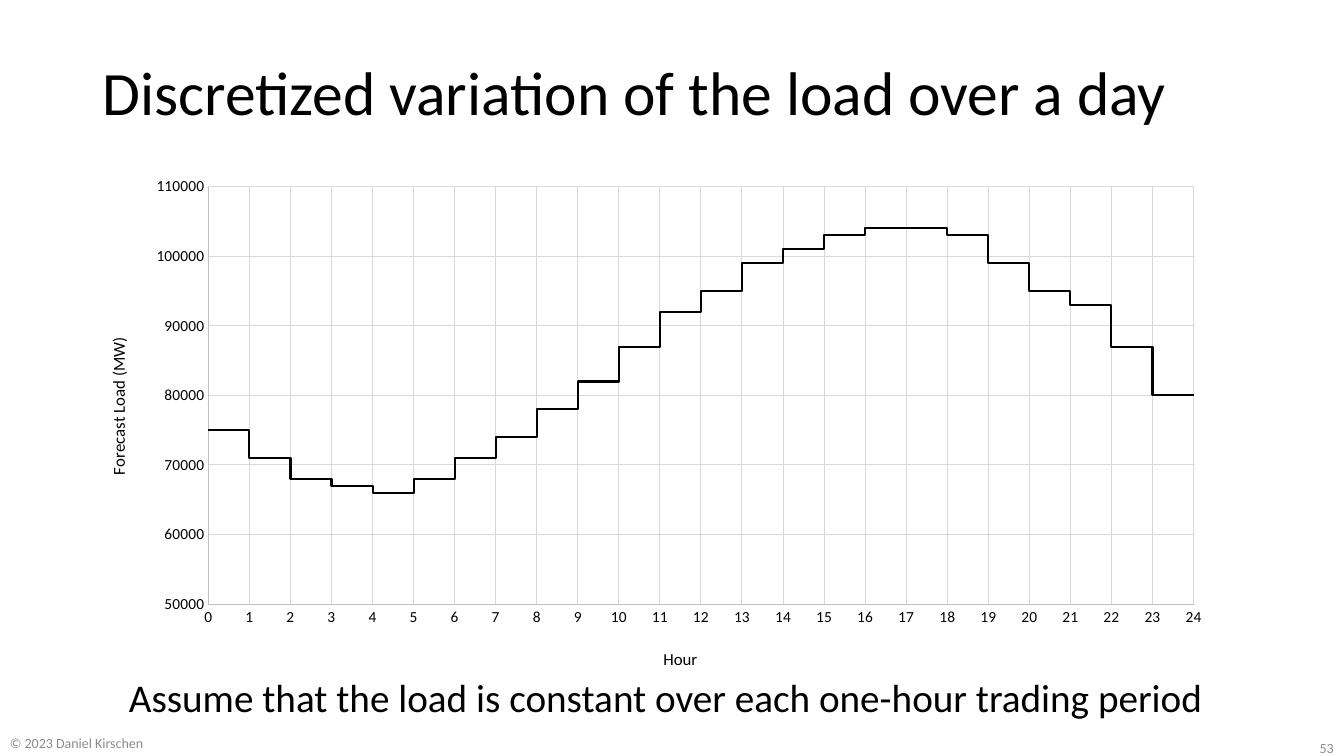
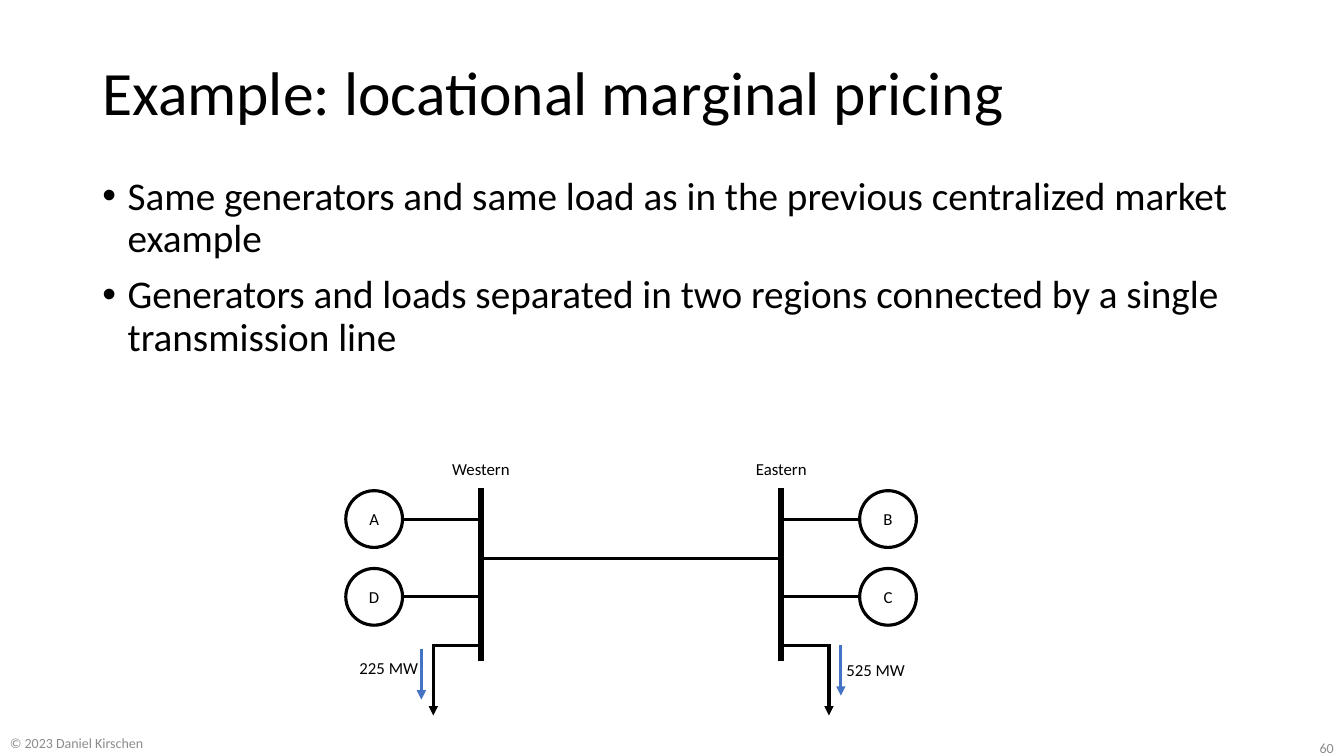
import pptx
import pptx.chart.data
import pptx.dml.color
import pptx.enum.chart
import pptx.enum.shapes
import pptx.enum.text
import pptx.oxml.ns
import pptx.oxml.xmlchemy
import pptx.util

Cm = pptx.util.Cm
Pt = pptx.util.Pt
RGB = pptx.dml.color.RGBColor
ALIGN = pptx.enum.text.PP_ALIGN
ANCHOR = pptx.enum.text.MSO_ANCHOR
qn = pptx.oxml.ns.qn
new_element = pptx.oxml.xmlchemy.OxmlElement


class Theme:
    font = "Calibri"
    ink = RGB(0, 0, 0)
    paper = RGB(0xFF, 0xFF, 0xFF)
    muted = RGB(0x8C, 0x8C, 0x8C)
    flow = RGB(0x44, 0x72, 0xC4)
    axis = RGB(0xBF, 0xBF, 0xBF)
    grid = RGB(0xD9, 0xD9, 0xD9)
    title_size, body_size, label_size, tick_size, footer_size = 44, 28, 12, 11, 10
    wire, bus, curve, hairline = 2.25, 4.5, 1.5, 0.75


FOOTER = "© 2023 Daniel Kirschen"
CONTENT_LEFT, CONTENT_TOP, CONTENT_WIDTH = 2.33, 4.32, 29.21

LOAD_TITLE = "Discretized variation of the load over a day"
LOAD_CAPTION = "Assume that the load is constant over each one-hour trading period"
HOURLY_LOAD = [
    75000, 71000, 68000, 67000, 66000, 68000, 71000, 74000,
    78000, 82000, 87000, 92000, 95000, 99000, 101000, 103000,
    104000, 104000, 103000, 99000, 95000, 93000, 87000, 80000,
]
HOUR_AXIS = dict(title="Hour", low=0, high=24, step=1, title_at=(0.49, 0.93))
LOAD_AXIS = dict(title="Forecast Load (MW)", low=50000, high=110000, step=10000,
                 title_at=(0.01, 0.32))
PLOT_AREA = (0.1, 0.03, 0.85, 0.82)

PRICING_TITLE = "Example: locational marginal pricing"
PRICING_POINTS = [
    "Same generators and same load as in the previous centralized market example",
    "Generators and loads separated in two regions connected by a single transmission line",
]
REGIONS = [
    dict(name="Western", side=-1, bus_x=12.12, generators="AD", load="225 MW",
         load_left=8.81, load_top=16.46, flow_top=16.36),
    dict(name="Eastern", side=1, bus_x=19.69, generators="BC", load="525 MW",
         load_left=21.08, load_top=16.51, flow_top=16.26),
]
BUS_TOP, BUS_BOTTOM = 12.29, 16.66
GEN_DIAMETER, GEN_FIRST_Y, GEN_PITCH, GEN_REACH = 1.43, 13.08, 1.96, 2.69
LINE_Y = 14.07
LOAD_Y, LOAD_END, LOAD_REACH = 16.26, 18.03, 1.2
FLOW_REACH, FLOW_LENGTH = 1.5, 1.27


def style(p, size, color=Theme.ink, align=None):
    p.alignment = align
    for r in p.runs:
        r.font.name = Theme.font
        r.font.size = Pt(size)
        r.font.color.rgb = color


def add_text(s, box, lines, size, color=Theme.ink, align=None, anchor=ANCHOR.TOP, wrap=True):
    tf = s.shapes.add_textbox(*map(Cm, box)).text_frame
    tf.word_wrap = wrap
    tf.vertical_anchor = anchor
    tf.text = "\n".join(lines)
    for p in tf.paragraphs:
        style(p, size, color, align)
    return tf


def add_slide(prs, title, number):
    s = prs.slides.add_slide(prs.slide_layouts[6])
    tf = add_text(s, (CONTENT_LEFT, 1.02, CONTENT_WIDTH, 2.8), [title],
                  Theme.title_size, anchor=ANCHOR.MIDDLE)
    tf.paragraphs[0].line_spacing = 0.9
    for box, text, align in (((0, 18.31, 8.74, 0.84), FOOTER, ALIGN.LEFT),
                             ((26.24, 18.44, 7.62, 0.79), str(number), ALIGN.RIGHT)):
        add_text(s, box, [text], Theme.footer_size, Theme.muted, align, ANCHOR.MIDDLE)
    return s


def add_line(s, x1, y1, x2, y2, width=Theme.wire, color=Theme.ink, arrow=False):
    line = s.shapes.add_connector(pptx.enum.shapes.MSO_CONNECTOR.STRAIGHT,
                                  *map(Cm, (x1, y1, x2, y2)))
    line.line.width = Pt(width)
    line.line.color.rgb = color
    if arrow:
        tail = new_element("a:tailEnd")
        tail.set("type", "triangle")
        line.line._get_or_add_ln().append(tail)
    line._element.spPr.append(new_element("a:effectLst"))


def add_bullets(s, box, points):
    tf = add_text(s, box, points, Theme.body_size)
    indent = Cm(0.64)
    for p in tf.paragraphs:
        p.line_spacing = 0.9
        p.space_before = Pt(10)
        pPr = p._p.get_or_add_pPr()
        pPr.set("marL", str(indent))
        pPr.set("indent", str(-indent))
        for tag, key, value in (("a:buFont", "typeface", "Arial"), ("a:buChar", "char", "•")):
            bullet = new_element(tag)
            bullet.set(key, value)
            pPr.append(bullet)


def set_layout(parent, index, values, inner=False):
    for old in parent.findall(qn("c:layout")):
        parent.remove(old)
    layout = new_element("c:layout")
    manual = new_element("c:manualLayout")
    layout.append(manual)
    entries = [("layoutTarget", "inner")] if inner else []
    entries += [("xMode", "edge"), ("yMode", "edge"), *zip("xywh", values)]
    for tag, value in entries:
        item = new_element("c:" + tag)
        item.set("val", str(value))
        manual.append(item)
    parent.insert(index, layout)


def format_axis(axis, title, low, high, step, title_at):
    axis.minimum_scale, axis.maximum_scale, axis.major_unit = low, high, step
    axis.major_tick_mark = axis.minor_tick_mark = pptx.enum.chart.XL_TICK_MARK.NONE
    axis.has_major_gridlines = True
    for fmt, color in ((axis.format, Theme.axis), (axis.major_gridlines.format, Theme.grid)):
        fmt.line.color.rgb = color
        fmt.line.width = Pt(Theme.hairline)
    axis.tick_labels.font.size = Pt(Theme.tick_size)
    tf = axis.axis_title.text_frame
    tf.text = title
    style(tf.paragraphs[0], Theme.label_size)
    tf.paragraphs[0].runs[0].font.bold = False
    set_layout(axis.axis_title._element, 1, title_at)


def add_load_chart(s):
    data = pptx.chart.data.XyChartData()
    series = data.add_series("Series 1")
    for hour, load in enumerate(HOURLY_LOAD):
        series.add_data_point(hour, load)
        series.add_data_point(hour + 1, load)
    chart = s.shapes.add_chart(pptx.enum.chart.XL_CHART_TYPE.XY_SCATTER_LINES_NO_MARKERS,
                               *map(Cm, (CONTENT_LEFT, CONTENT_TOP, CONTENT_WIDTH, 12.83)),
                               data).chart
    chart.has_title = chart.has_legend = False
    chart.font.name = Theme.font
    chart.font.size = Pt(Theme.footer_size)
    chart.font.color.rgb = Theme.ink
    plot = chart.plots[0]
    plot.vary_by_categories = False
    curve = plot.series[0]
    curve.smooth = False
    curve.format.line.color.rgb = Theme.ink
    curve.format.line.width = Pt(Theme.curve)
    format_axis(chart.category_axis, **HOUR_AXIS)
    format_axis(chart.value_axis, **LOAD_AXIS)
    bodyPr = chart.value_axis.axis_title.text_frame._txBody.bodyPr
    bodyPr.set("rot", "-5400000")
    bodyPr.set("vert", "horz")
    set_layout(chart._chartSpace.chart.plotArea, 0, PLOT_AREA, inner=True)


def add_generator(s, name, x, y):
    radius = GEN_DIAMETER / 2
    sp = s.shapes.add_shape(pptx.enum.shapes.MSO_SHAPE.OVAL,
                            *map(Cm, (x - radius, y - radius, GEN_DIAMETER, GEN_DIAMETER)))
    sp.shadow.inherit = False
    sp.fill.solid()
    sp.fill.fore_color.rgb = Theme.paper
    sp.line.color.rgb = Theme.ink
    sp.line.width = Pt(Theme.wire)
    tf = sp.text_frame
    tf.margin_left = tf.margin_right = tf.margin_top = tf.margin_bottom = 0
    tf.vertical_anchor = ANCHOR.MIDDLE
    tf.text = name
    style(tf.paragraphs[0], Theme.label_size, align=ALIGN.CENTER)


def add_region(s, name, side, bus_x, generators, load, load_left, load_top, flow_top):
    add_line(s, bus_x, BUS_TOP, bus_x, BUS_BOTTOM, Theme.bus)
    add_text(s, (bus_x - 1, 11.43, 2, 0.76), [name], Theme.label_size,
             align=ALIGN.CENTER, wrap=False)
    for i, generator in enumerate(generators):
        y = GEN_FIRST_Y + i * GEN_PITCH
        edge = bus_x + side * (GEN_REACH - GEN_DIAMETER / 2)
        add_line(s, bus_x, y, edge, y)
        add_generator(s, generator, bus_x + side * GEN_REACH, y)
    load_x = bus_x + side * LOAD_REACH
    add_line(s, bus_x, LOAD_Y, load_x + side * 0.04, LOAD_Y)
    add_line(s, load_x, LOAD_Y, load_x, LOAD_END, arrow=True)
    flow_x = bus_x + side * FLOW_REACH
    add_line(s, flow_x, flow_top, flow_x, flow_top + FLOW_LENGTH, color=Theme.flow, arrow=True)
    add_text(s, (load_left, load_top, 2.01, 0.76), [load], Theme.label_size, wrap=False)


def main():
    prs = pptx.Presentation()
    prs.slide_width, prs.slide_height = Cm(33.87), Cm(19.05)

    s = add_slide(prs, LOAD_TITLE, 53)
    add_load_chart(s)
    add_text(s, (3, 16.84, 27.86, 1.45), [LOAD_CAPTION], Theme.body_size, wrap=False)

    s = add_slide(prs, PRICING_TITLE, 60)
    add_bullets(s, (CONTENT_LEFT, CONTENT_TOP, CONTENT_WIDTH, 5.69), PRICING_POINTS)
    add_line(s, REGIONS[0]["bus_x"], LINE_Y, REGIONS[1]["bus_x"], LINE_Y)
    for region in REGIONS:
        add_region(s, **region)

    prs.save("out.pptx")


if __name__ == "__main__":
    main()
